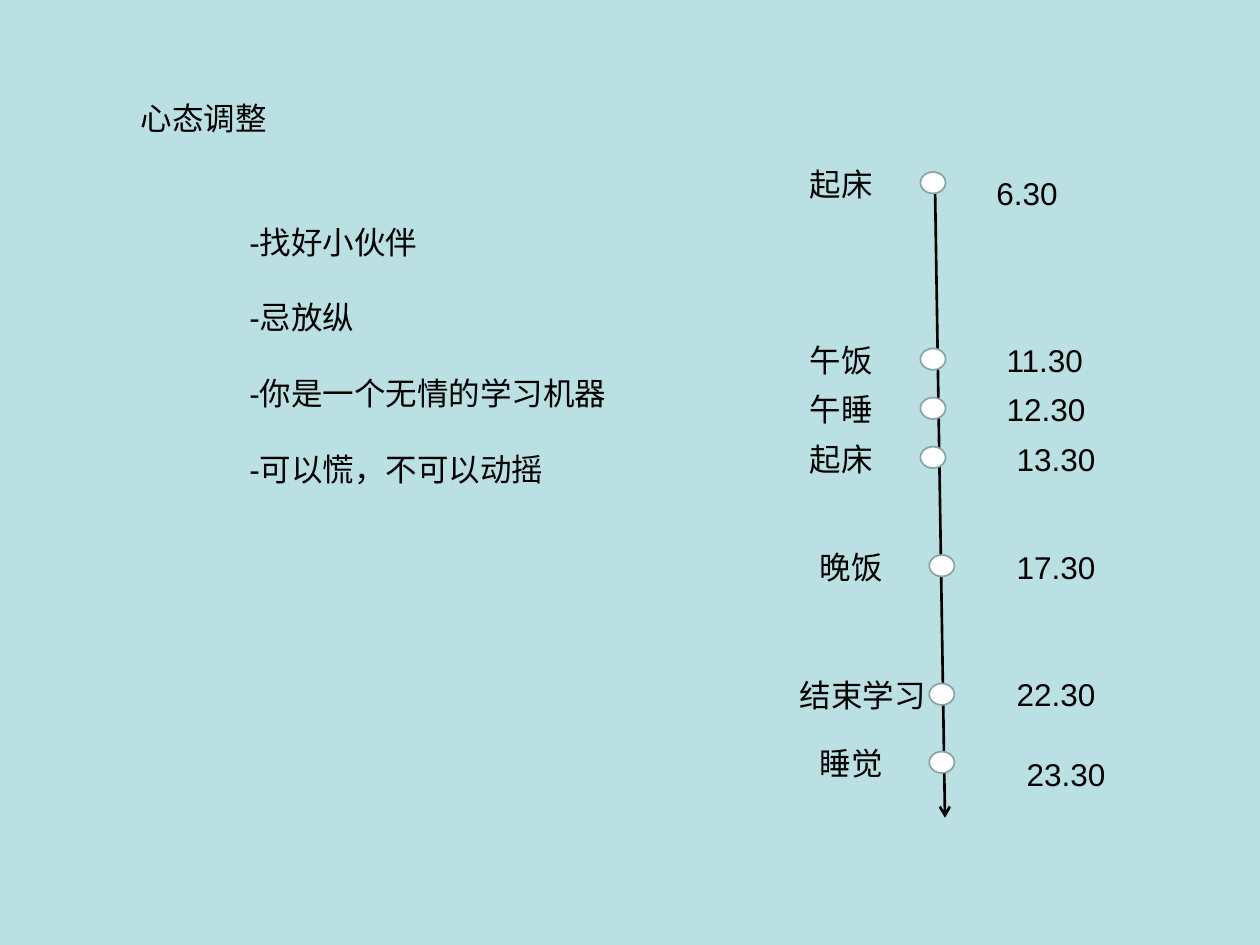
"""Build a slide with study mindset tips and a daily timeline."""
from lxml import etree
from pptx import Presentation
from pptx.dml.color import RGBColor
from pptx.enum.shapes import MSO_CONNECTOR, MSO_SHAPE
from pptx.enum.text import MSO_AUTO_SIZE
from pptx.oxml.ns import qn
from pptx.util import Inches, Pt

STRAIGHT = MSO_CONNECTOR.STRAIGHT
OVAL = MSO_SHAPE.OVAL
GROW = MSO_AUTO_SIZE.SHAPE_TO_FIT_TEXT

BACKGROUND = RGBColor(0xBB, 0xE0, 0xE3)
BLACK = RGBColor(0x00, 0x00, 0x00)
WHITE = RGBColor(0xFF, 0xFF, 0xFF)
OUTLINE = RGBColor(0x89, 0xA4, 0xA7)

TIPS = ["-找好小伙伴", "-忌放纵", "-你是一个无情的学习机器", "-可以慌，不可以动摇"]

# label, label left, marker left, marker top, time, time left, time top
EVENTS = [
    ("起床", 6.33, 7.32, 1.35, "6.30", 7.81, 1.33),
    ("午饭", 6.33, 7.32, 2.75, "11.30", 7.89, 2.66),
    ("午睡", 6.33, 7.32, 3.14, "12.30", 7.89, 3.05),
    ("起床", 6.33, 7.32, 3.53, "13.30", 7.97, 3.44),
    ("晚饭", 6.41, 7.39, 4.39, "17.30", 7.97, 4.3),
    ("结束学习", 6.25, 7.39, 5.41, "22.30", 7.97, 5.31),
    ("睡觉", 6.41, 7.39, 5.95, "23.30", 8.05, 5.94),
]


def add_text(shapes, lines, left, top, width, height=0.4):
    sp = shapes.add_textbox(Inches(left), Inches(top), Inches(width), Inches(height))
    tf = sp.text_frame
    tf.word_wrap = True
    tf.auto_size = GROW
    tf.text = "\n".join(lines)
    for i, p in enumerate(tf.paragraphs):
        if i:
            p.space_before = Pt(21.6)
        for r in p.runs:
            r.font.name = "Arial"
            r.font.size = Pt(18)
            r.font.color.rgb = BLACK


prs = Presentation()
prs.slide_width = Inches(10)
prs.slide_height = Inches(7.5)
s = prs.slides.add_slide(prs.slide_layouts[6])
s.background.fill.solid()
s.background.fill.fore_color.rgb = BACKGROUND

add_text(s.shapes, ["心态调整"], 1.02, 0.74, 1.38)
add_text(s.shapes, TIPS, 1.88, 1.72, 4.69, 2.2)

axis = s.shapes.add_connector(STRAIGHT, Inches(7.42), Inches(1.41), Inches(7.5), Inches(6.49))
axis.line.color.rgb = BLACK
axis.line.width = Pt(1.5)
etree.SubElement(axis.line._get_or_add_ln(), qn("a:tailEnd"), type="arrow")
etree.SubElement(axis._element.spPr, qn("a:effectLst"))

for label, label_left, marker_left, marker_top, time, time_left, time_top in EVENTS:
    group = s.shapes.add_group_shape()
    sp = group.shapes.add_shape(OVAL, Inches(marker_left), Inches(marker_top), Inches(0.17), Inches(0.2))
    sp.rotation = 270
    sp.shadow.inherit = False
    sp.fill.solid()
    sp.fill.fore_color.rgb = WHITE
    sp.line.color.rgb = OUTLINE
    sp.line.width = Pt(1)
    add_text(group.shapes, [label], label_left, marker_top - 0.09, 1.64)
    add_text(s.shapes, [time], time_left, time_top, 1.25)

prs.save("out.pptx")
